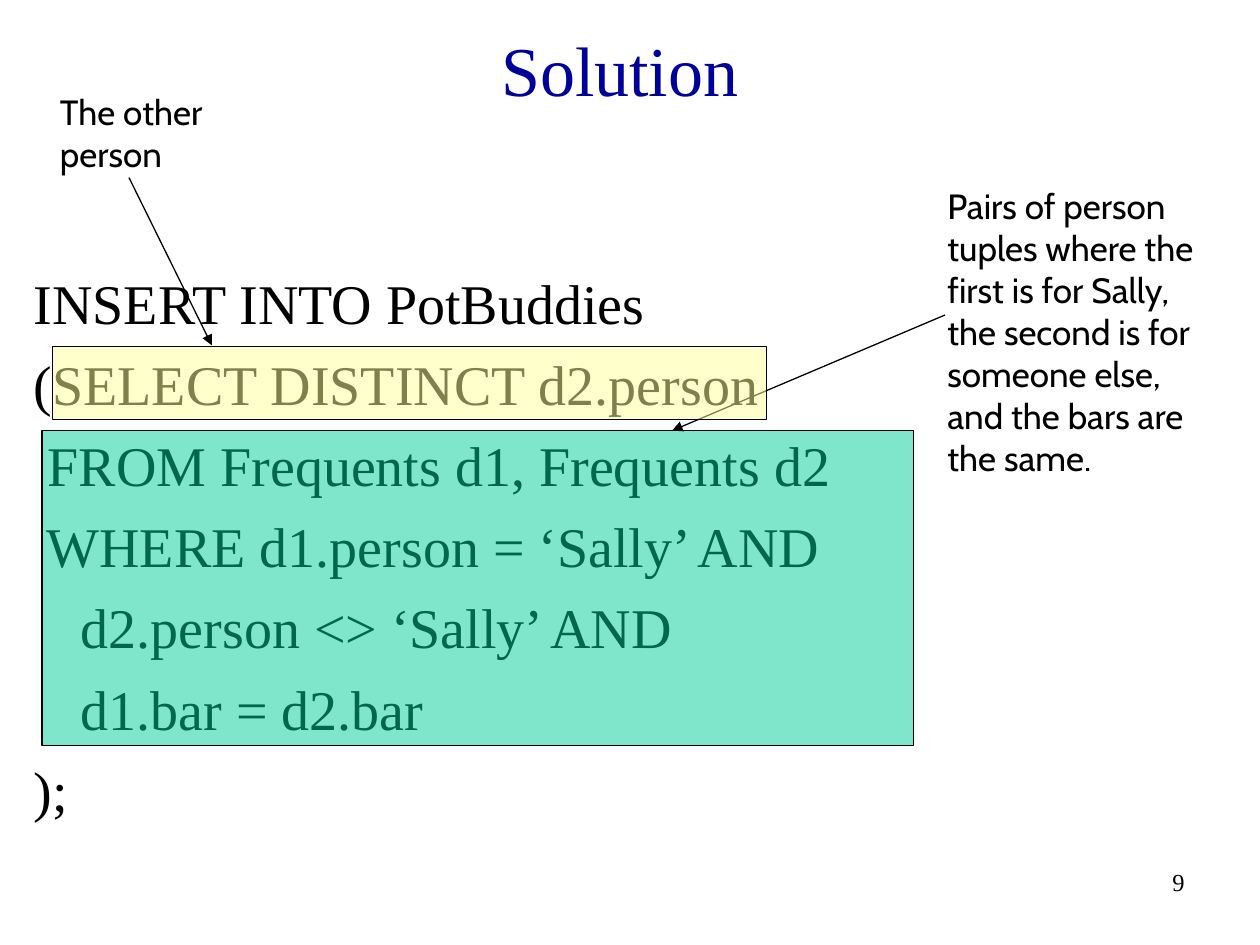
from lxml.etree import SubElement
from pptx import Presentation
from pptx.dml.color import RGBColor
from pptx.enum.shapes import MSO_CONNECTOR, MSO_SHAPE
from pptx.enum.text import MSO_ANCHOR, PP_ALIGN
from pptx.oxml.ns import qn
from pptx.util import Cm, Pt

BLACK = RGBColor(0x00, 0x00, 0x00)
NAVY = RGBColor(0x00, 0x00, 0x99)
GREEN = RGBColor(0x00, 0xCC, 0x99)
YELLOW = RGBColor(0xFF, 0xFF, 0x99)
SERIF, SANS = "Times New Roman", "Cabin"

TITLE = ["Solution"]
PAGE = ["9"]
QUERY = [
    "INSERT INTO PotBuddies",
    "(SELECT DISTINCT d2.person",
    " FROM Frequents d1, Frequents d2",
    " WHERE d1.person = ‘Sally’ AND",
    "\td2.person <> ‘Sally’ AND",
    "\td1.bar = d2.bar",
    ");",
]
PAIRS = [
    "Pairs of person",
    "tuples where the",
    "first is for Sally,",
    "the second is for",
    "someone else,",
    "and the bars are",
    "the same.",
]
OTHER = ["The other", "person"]

deck = Presentation()
deck.slide_width, deck.slide_height = Cm(25.4), Cm(19.05)
slide = deck.slides.add_slide(deck.slide_layouts[6])


def add_text(lines, box, size, font=SERIF, color=BLACK, align=PP_ALIGN.LEFT,
             anchor=MSO_ANCHOR.TOP, wrap=True, before=0, hang=0):
    frame = slide.shapes.add_textbox(*map(Cm, box)).text_frame
    frame.word_wrap = wrap
    frame.vertical_anchor = anchor
    for i, line in enumerate(lines):
        para = frame.paragraphs[0] if i == 0 else frame.add_paragraph()
        para.alignment = align
        para.space_before = Pt(before)
        if hang:
            props = para._p.get_or_add_pPr()
            props.set("marL", str(Cm(hang)))
            props.set("indent", str(-Cm(hang)))
        run = para.add_run()
        run.text = line
        run.font.size = Pt(size)
        run.font.name = font
        run.font.color.rgb = color


def add_panel(box, color):
    panel = slide.shapes.add_shape(MSO_SHAPE.RECTANGLE, *map(Cm, box))
    panel.shadow.inherit = False
    panel.fill.solid()
    panel.fill.fore_color.rgb = color
    tint = panel.fill._xPr.find(".//" + qn("a:srgbClr"))
    SubElement(tint, qn("a:alpha"), val="50000")
    panel.line.color.rgb = BLACK
    panel.line.width = Pt(0.75)


def add_arrow(start, end):
    arrow = slide.shapes.add_connector(
        MSO_CONNECTOR.STRAIGHT, *map(Cm, start + end))
    arrow.line.color.rgb = BLACK
    arrow.line.width = Pt(0.75)
    SubElement(arrow.line._get_or_add_ln(), qn("a:tailEnd"), type="triangle")
    SubElement(arrow._element.spPr, qn("a:effectLst"))


add_text(PAGE, (18.85, 17.35, 5.28, 1.27), 14, align=PP_ALIGN.RIGHT)
add_text(TITLE, (0.43, 0.43, 24.13, 1.9), 40, color=NAVY,
         align=PP_ALIGN.CENTER, anchor=MSO_ANCHOR.MIDDLE)
add_text(QUERY, (0.43, 5.28, 24.13, 11.86), 32, before=8, hang=0.95)
add_panel((0.85, 8.68, 17.57, 6.35), GREEN)
add_text(PAIRS, (18.85, 3.6, 6.1, 6.2), 20, font=SANS, wrap=False)
add_arrow((19.05, 6.35), (13.55, 8.68))
add_panel((1.06, 6.98, 14.4, 1.48), YELLOW)
add_text(OTHER, (0.96, 1.7, 3.73, 1.96), 20, font=SANS, wrap=False)
add_arrow((2.6, 3.58), (4.27, 6.96))

deck.save("out.pptx")
